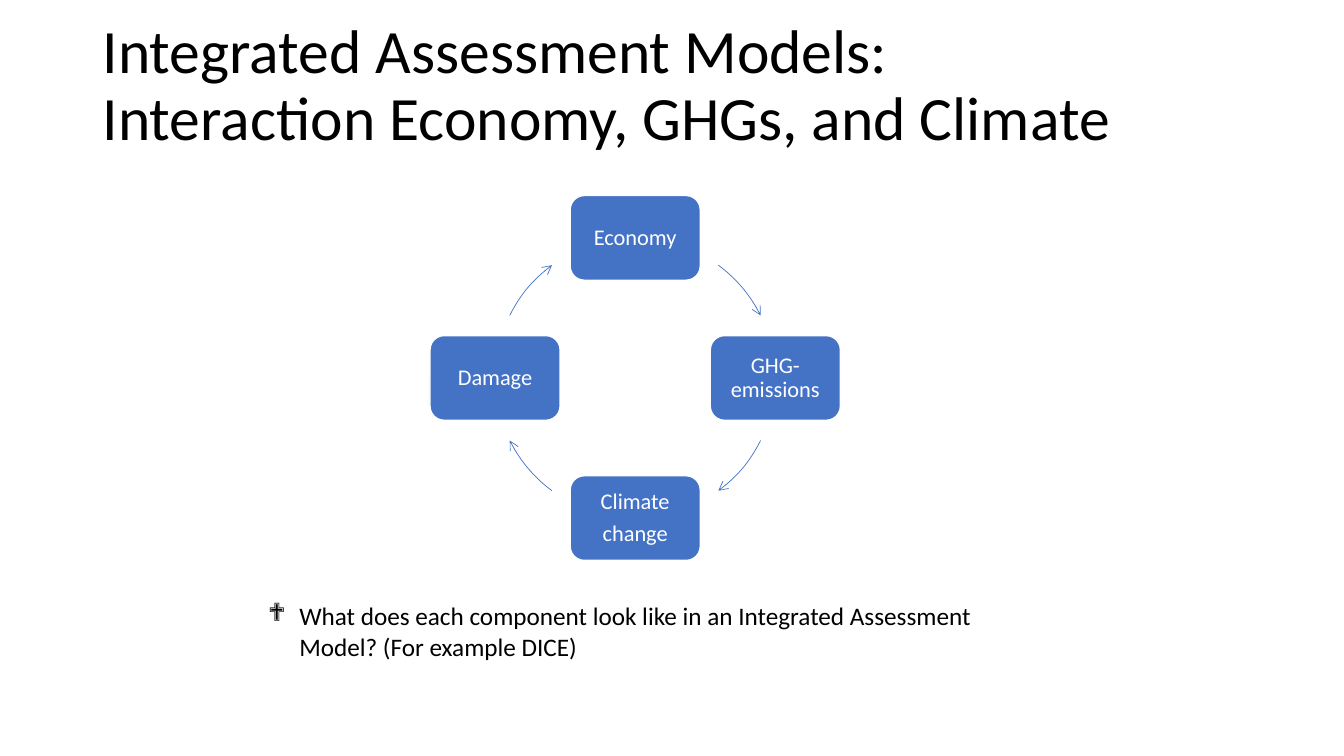
from math import cos, radians, sin

from lxml.etree import SubElement
from pptx import Presentation
from pptx.dml.color import RGBColor
from pptx.enum.shapes import MSO_SHAPE
from pptx.enum.text import MSO_ANCHOR, PP_ALIGN
from pptx.oxml.ns import qn
from pptx.util import Inches, Pt

TITLE = ["Integrated Assessment Models:", "Interaction Economy, GHGs, and Climate"]
STAGES = [["Economy"], ["GHG-emissions"], ["Climate", "change"], ["Damage"]]  # clockwise from the top
ARCS = [(306.4, 333.5), (26.5, 53.6), (126.4, 153.5), (206.5, 233.6)]  # degrees, clockwise from the right
QUESTION = "What does each component look like in an Integrated Assessment Model? (For example DICE)"

COLORS = {"text": "000000", "blue": "4472C4", "white": "FFFFFF"}
FONT = "Calibri"
MID_X, MID_Y, RADIUS = 6.3, 3.75, 1.39
BOX_W, BOX_H = 1.29, 0.84


def color(name):
    return RGBColor.from_string(COLORS[name])


def add_run(para, text, size, shade):
    run = para.add_run()
    run.text = text
    run.font.name = FONT
    run.font.size = Pt(size)
    run.font.color.rgb = color(shade)


def add_frame(slide, left, top, width, height):
    box = slide.shapes.add_textbox(Inches(left), Inches(top), Inches(width), Inches(height))
    box.text_frame.word_wrap = True
    return box.text_frame


def add_title(slide):
    frame = add_frame(slide, 0.92, 0.14, 11.5, 1.45)
    frame.vertical_anchor = MSO_ANCHOR.MIDDLE
    para = frame.paragraphs[0]
    para.line_spacing = 0.9
    for i, line in enumerate(TITLE):
        if i:
            para.add_line_break()
        add_run(para, line, 44, "text")


def add_stage(slide, lines, angle):
    left = MID_X + RADIUS * cos(radians(angle)) - BOX_W / 2
    top = MID_Y + RADIUS * sin(radians(angle)) - BOX_H / 2
    box = slide.shapes.add_shape(
        MSO_SHAPE.ROUNDED_RECTANGLE, Inches(left), Inches(top), Inches(BOX_W), Inches(BOX_H))
    box.shadow.inherit = False
    box.fill.solid()
    box.fill.fore_color.rgb = color("blue")
    box.line.color.rgb = color("white")
    box.line.width = Pt(1)
    frame = box.text_frame
    frame.word_wrap = True
    frame.vertical_anchor = MSO_ANCHOR.MIDDLE
    frame.margin_left = frame.margin_right = Inches(0.07)
    frame.margin_top = frame.margin_bottom = Inches(0.07)
    for i, line in enumerate(lines):
        para = frame.add_paragraph() if i else frame.paragraphs[0]
        para.alignment = PP_ALIGN.CENTER
        para.line_spacing = 0.9
        para.space_after = Pt(5.6)
        add_run(para, line, 16, "white")


def add_arrow(slide, start, end):
    """Draw an arc of the cycle from start to end, with its head at the end."""
    arc = slide.shapes.add_shape(
        MSO_SHAPE.ARC, Inches(MID_X - RADIUS), Inches(MID_Y - RADIUS),
        Inches(2 * RADIUS), Inches(2 * RADIUS))
    arc.shadow.inherit = False
    for i, angle in enumerate((start, end)):
        arc.adjustments[i] = angle * 0.6  # 60000 units a degree, scaled by 100000
    arc.fill.background()
    arc.line.color.rgb = color("blue")
    arc.line.width = Pt(0.5)
    SubElement(arc.line._get_or_add_ln(), qn("a:tailEnd"), type="arrow")


def add_question(slide):
    para = add_frame(slide, 2.56, 5.91, 7.49, 0.71).paragraphs[0]
    props = para._p.get_or_add_pPr()
    props.set("marL", str(Inches(0.31)))
    props.set("indent", str(-Inches(0.31)))
    SubElement(props, qn("a:buFont"), typeface="Wingdings")
    SubElement(props, qn("a:buChar"), char="❖")
    add_run(para, QUESTION, 18, "text")


def main():
    deck = Presentation()
    deck.slide_width, deck.slide_height = Inches(13.33), Inches(7.5)
    slide = deck.slides.add_slide(deck.slide_layouts[6])
    add_title(slide)
    for i, (lines, arc) in enumerate(zip(STAGES, ARCS)):
        add_stage(slide, lines, 90 * i - 90)
        add_arrow(slide, *arc)
    add_question(slide)
    deck.save("out.pptx")


if __name__ == "__main__":
    main()
